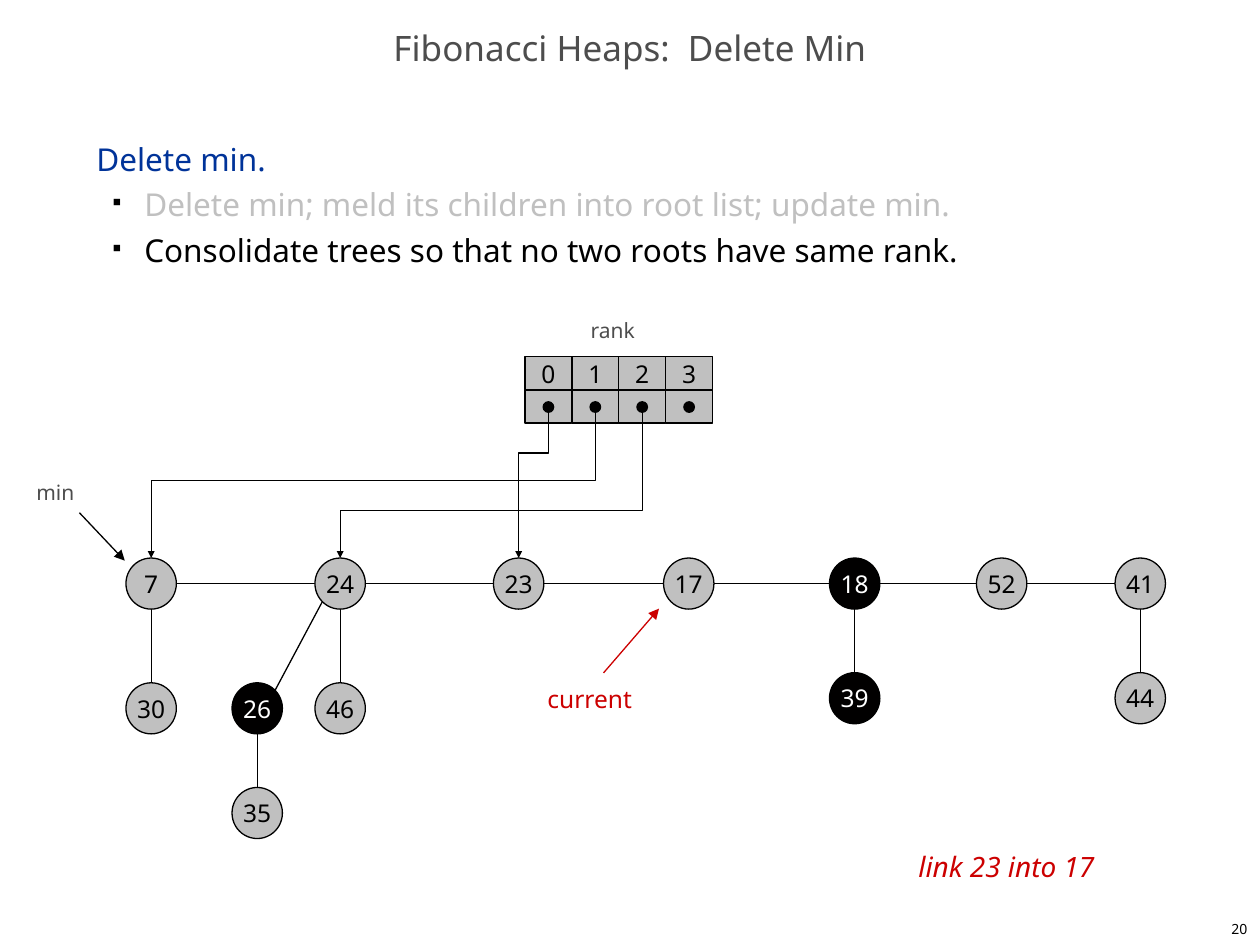
"""Build a slide on consolidating trees after delete-min in a Fibonacci heap."""
import math
from dataclasses import dataclass

import lxml.etree
import pptx
import pptx.dml.color
import pptx.enum.shapes
import pptx.enum.text
import pptx.oxml.ns
import pptx.shapes.autoshape
import pptx.shapes.connector
import pptx.slide
import pptx.util

Pt = pptx.util.Pt
RGBColor = pptx.dml.color.RGBColor
SHAPE = pptx.enum.shapes.MSO_SHAPE
CONNECTOR = pptx.enum.shapes.MSO_CONNECTOR
ALIGN = pptx.enum.text.PP_ALIGN
ANCHOR = pptx.enum.text.MSO_ANCHOR
qn = pptx.oxml.ns.qn

FONT = "Noto Sans"
BLACK = RGBColor(0x00, 0x00, 0x00)
MARKED = RGBColor(0x01, 0x00, 0x00)
WHITE = RGBColor(0xFF, 0xFF, 0xFF)
SILVER = RGBColor(0xC0, 0xC0, 0xC0)
GRAY = RGBColor(0x4D, 0x4D, 0x4D)
BLUE = RGBColor(0x00, 0x33, 0x99)
RED = RGBColor(0xCC, 0x00, 0x00)

NODE_W, NODE_H = 28.8, 29.2
ROOT_Y = 333.5
CELL_W, CELL_H = 26.8, 19
TABLE_X, TABLE_Y = 300, 203.8
DOT, DOT_Y = 6, 232.6


@dataclass(frozen=True)
class Node:
    key: str
    x: float
    y: float = ROOT_Y
    marked: bool = False


@dataclass(frozen=True)
class Label:
    text: str
    x: float
    y: float
    w: float
    h: float
    size: float
    color: RGBColor
    align: ALIGN = ALIGN.LEFT
    anchor: ANCHOR = ANCHOR.TOP
    wrap: bool = False
    italic: bool = False
    spacing: float | None = None


@dataclass(frozen=True)
class Pointer:
    rank: int
    key: str
    bend: float


@dataclass(frozen=True)
class Arrow:
    start: tuple[float, float]
    end: tuple[float, float]
    color: RGBColor


ROOTS = [
    Node("7", 86.4), Node("24", 194.4), Node("23", 296.4), Node("17", 393.6),
    Node("18", 488.4, marked=True), Node("52", 572.4), Node("41", 651.6),
]
CHILDREN = [
    Node("30", 86.4, 404.8), Node("26", 147, 404.8, True), Node("46", 194.4, 404.8),
    Node("35", 147, 464.6), Node("39", 488.4, 399, True), Node("44", 651.6, 399),
]
NODES = {node.key: node for node in ROOTS + CHILDREN}
PARENTS = {"30": "7", "26": "24", "46": "24", "35": "26", "39": "18", "44": "41"}
POINTERS = [Pointer(1, "7", 0.467), Pointer(2, "24", 0.673), Pointer(0, "23", 0.279)]
ARROWS = [
    Arrow((45.4, 293), (71.3, 320.4), BLACK),
    Arrow((344.9, 384.5), (376.6, 347.8), RED),
]
LABELS = [
    Label("20", 570, 522, 150, 18, 8, BLACK, ALIGN.RIGHT, ANCHOR.MIDDLE),
    Label("Fibonacci Heaps:  Delete Min", 0, 12, 720, 36, 20, GRAY,
          ALIGN.CENTER, ANCHOR.MIDDLE, wrap=True, spacing=0.7),
    Label("min", 13.7, 270.7, 36, 21.6, 12, GRAY),
    Label("rank", 330.5, 177.8, 43.2, 21.6, 12, GRAY),
    Label("current", 297, 384.5, 80, 29.2, 14, RED, ALIGN.CENTER, ANCHOR.MIDDLE),
    Label("link 23 into 17", 517.7, 481.7, 115.2, 26.6, 16, RED, italic=True),
]
BODY = [
    ("Delete min.", BLUE),
    ("Delete min; meld its children into root list; update min.", SILVER),
    ("Consolidate trees so that no two roots have same rank.", BLACK),
]


def format_runs(p, size: float, color: RGBColor, italic: bool = False) -> None:
    for r in p.runs:
        r.font.name, r.font.size, r.font.italic = FONT, Pt(size), italic
        r.font.color.rgb = color


def add_label(slide: pptx.slide.Slide, label: Label) -> None:
    s = slide.shapes.add_textbox(Pt(label.x), Pt(label.y), Pt(label.w), Pt(label.h))
    tf = s.text_frame
    tf.text = label.text
    tf.word_wrap = label.wrap
    tf.vertical_anchor = label.anchor
    p = tf.paragraphs[0]
    p.alignment = label.align
    p.line_spacing = label.spacing
    format_runs(p, label.size, label.color, label.italic)


def add_body(slide: pptx.slide.Slide) -> None:
    tf = slide.shapes.add_textbox(Pt(48), Pt(72), Pt(618), Pt(426)).text_frame
    tf.word_wrap = True
    for i, (text, color) in enumerate(BODY):
        p = tf.add_paragraph() if i else tf.paragraphs[0]
        p.text = text
        p.line_spacing = Pt(26)
        format_runs(p, 18, color)
        if i:
            p.level = 1
            props = p._p.get_or_add_pPr()
            props.set("marL", str(Pt(27.4)))
            props.set("indent", str(Pt(-18)))
            bullet_color = lxml.etree.SubElement(props, qn("a:buClr"))
            lxml.etree.SubElement(bullet_color, qn("a:srgbClr"), val=str(BLACK))
            lxml.etree.SubElement(props, qn("a:buSzPct"), val="35000")
            lxml.etree.SubElement(props, qn("a:buChar"), char="■")


def add_box(slide: pptx.slide.Slide, kind: SHAPE, x: float, y: float, w: float, h: float,
            fill: RGBColor, text: str = "") -> pptx.shapes.autoshape.Shape:
    s = slide.shapes.add_shape(kind, Pt(x), Pt(y), Pt(w), Pt(h))
    s.shadow.inherit = False
    s.fill.solid()
    s.fill.fore_color.rgb = fill
    s.line.color.rgb = BLACK
    s.line.width = Pt(0.75)
    if text:
        tf = s.text_frame
        tf.text = text
        tf.word_wrap = False
        tf.vertical_anchor = ANCHOR.MIDDLE
        tf.paragraphs[0].alignment = ALIGN.CENTER
        format_runs(tf.paragraphs[0], 14, WHITE if fill == MARKED else BLACK)
    return s


def add_line(slide: pptx.slide.Slide, start: tuple[float, float], end: tuple[float, float],
             color: RGBColor = BLACK, head: str = "",
             kind: CONNECTOR = CONNECTOR.STRAIGHT) -> pptx.shapes.connector.Connector:
    s = slide.shapes.add_connector(kind, *(Pt(v) for v in start + end))
    s.line.color.rgb = color
    s.line.width = Pt(0.75)
    if head:
        lxml.etree.SubElement(s.line._get_or_add_ln(), qn("a:tailEnd"),
                              type="triangle", w=head, len=head)
    lxml.etree.SubElement(s._element.spPr, qn("a:effectLst"))
    return s


def add_pointer(slide: pptx.slide.Slide, pointer: Pointer) -> None:
    x1, y1 = TABLE_X + (pointer.rank + 0.5) * CELL_W, DOT_Y + DOT / 2
    x2, y2 = NODES[pointer.key].x, ROOT_Y - NODE_H / 2
    cx, cy = (x1 + x2) / 2, (y1 + y2) / 2
    half_drop, half_run = (y2 - y1) / 2, (x1 - x2) / 2
    s = add_line(slide, (cx - half_drop, cy - half_run), (cx + half_drop, cy + half_run),
                 head="sm", kind=CONNECTOR.ELBOW)
    s.rotation = 90
    guides = s._element.spPr.find(qn("a:prstGeom")).get_or_add_avLst()
    lxml.etree.SubElement(guides, qn("a:gd"), name="adj1",
                          fmla=f"val {round(pointer.bend * 100000)}")


def add_child_edge(slide: pptx.slide.Slide, child: Node, parent: Node) -> None:
    slanted = child.x != parent.x
    dx = NODE_W / 2 * math.sqrt(0.5) if slanted else 0
    dy = NODE_H / 2 * (math.sqrt(0.5) if slanted else 1)
    add_line(slide, (child.x + dx, child.y - dy), (parent.x - dx, parent.y + dy))


def main() -> None:
    prs = pptx.Presentation()
    prs.slide_width, prs.slide_height = Pt(720), Pt(540)
    slide = prs.slides.add_slide(prs.slide_layouts[6])
    add_body(slide)
    for left, right in zip(ROOTS, ROOTS[1:]):
        add_line(slide, (left.x + NODE_W / 2, ROOT_Y), (right.x - NODE_W / 2, ROOT_Y))
    for child, parent in PARENTS.items():
        add_child_edge(slide, NODES[child], NODES[parent])
    for node in NODES.values():
        add_box(slide, SHAPE.OVAL, node.x - NODE_W / 2, node.y - NODE_H / 2,
                NODE_W, NODE_H, MARKED if node.marked else SILVER, node.key)
    for rank in range(4):
        x = TABLE_X + rank * CELL_W
        add_box(slide, SHAPE.RECTANGLE, x, TABLE_Y, CELL_W, CELL_H, SILVER, str(rank))
        add_box(slide, SHAPE.RECTANGLE, x, TABLE_Y + CELL_H, CELL_W, CELL_H, SILVER)
        add_box(slide, SHAPE.OVAL, x + (CELL_W - DOT) / 2, DOT_Y - DOT / 2, DOT, DOT, MARKED)
    for pointer in POINTERS:
        add_pointer(slide, pointer)
    for arrow in ARROWS:
        add_line(slide, arrow.start, arrow.end, arrow.color, "med")
    for label in LABELS:
        add_label(slide, label)
    prs.save("out.pptx")


if __name__ == "__main__":
    main()
